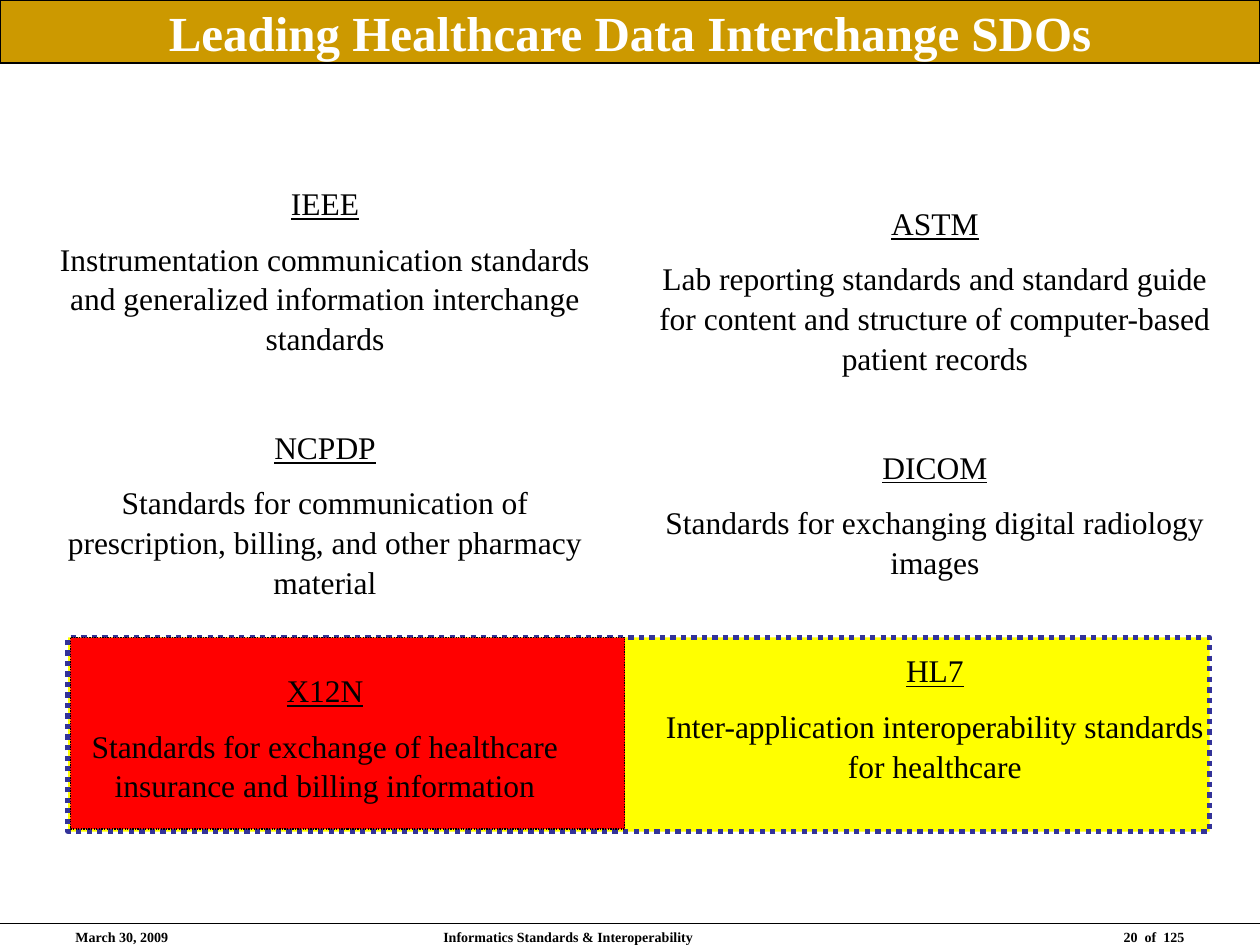
import pptx
import pptx.util
import pptx.dml.color
import pptx.enum.dml
import pptx.enum.shapes
import pptx.enum.text
import pptx.oxml

Inches, Pt = pptx.util.Inches, pptx.util.Pt
ALIGN = pptx.enum.text.PP_ALIGN
ANCHOR = pptx.enum.text.MSO_ANCHOR
DOTTED = pptx.enum.dml.MSO_LINE.ROUND_DOT

WIDTH, HEIGHT = 10, 7.5
COLORS = {"ink": "000000", "title": "FFFFFF", "banner": "CC9900",
          "band": "FFFF00", "band_edge": "333399", "x12n": "FF0000"}

# Text formats, as font attributes
TITLE = {"name": "Times New Roman", "size": Pt(28), "bold": True}
BODY = {"name": "Times New Roman", "size": Pt(18), "underline": False}
HEADING = {**BODY, "underline": True}
FOOTER = {"name": "Times New Roman", "size": Pt(8), "bold": True}

# Paragraph spacing of the columns
LINE_SPACING = 1.05
SPACE_BEFORE_BODY = Pt(9)
SPACE_BEFORE_GROUP = Pt(39.5)

# Column grid: equal columns set in from both slide edges
COLUMN_MARGIN, COLUMN_WIDTH = 0.25, 4.66
COLUMN_TOP, COLUMN_HEIGHT = HEIGHT * 0.1, 6.33

COLUMNS = [
    [("IEEE", "Instrumentation communication standards and generalized "
              "information interchange standards"),
     ("NCPDP", "Standards for communication of prescription, billing, "
               "and other pharmacy material"),
     ("X12N", "Standards for exchange of healthcare insurance and "
              "billing information")],
    [("ASTM", "Lab reporting standards and standard guide for content and "
              "structure of computer-based patient records"),
     ("DICOM", "Standards for exchanging digital radiology images"),
     ("HL7", "Inter-application interoperability standards for healthcare")],
]

# Footer: text, left, width, alignment
FOOTER_TOP, FOOTER_HEIGHT = 7.32, 0.17
FOOTERS = [
    ("March 30, 2009", 0.5, 2.33, ALIGN.LEFT),
    ("Informatics Standards & Interoperability", 3.42, 3.17, ALIGN.LEFT),
    ("20  of  125", 7.17, 2.33, ALIGN.RIGHT),
]


def rgb(color):
    return pptx.dml.color.RGBColor.from_string(COLORS[color])


def write(paragraph, text, text_format, align, color="ink"):
    paragraph.alignment = align
    run = paragraph.add_run()
    run.text = text
    for attribute, value in text_format.items():
        setattr(run.font, attribute, value)
    run.font.color.rgb = rgb(color)


def add_panel(slide, box, fill, edge="ink", weight=0.75, dash=None):
    panel = slide.shapes.add_shape(
        pptx.enum.shapes.MSO_SHAPE.RECTANGLE, *map(Inches, box))
    panel.shadow.inherit = False
    panel.fill.solid()
    panel.fill.fore_color.rgb = rgb(fill)
    panel.line.color.rgb = rgb(edge)
    panel.line.width = Pt(weight)
    if dash:
        panel.line.dash_style = dash
    return panel


def add_text_frame(slide, box, anchor):
    frame = slide.shapes.add_textbox(*map(Inches, box)).text_frame
    frame.word_wrap = True
    frame.vertical_anchor = anchor
    return frame


def add_column(slide, left, organizations):
    frame = add_text_frame(
        slide, (left, COLUMN_TOP, COLUMN_WIDTH, COLUMN_HEIGHT), ANCHOR.MIDDLE)
    for index, (name, scope) in enumerate(organizations):
        heading = frame.add_paragraph() if index else frame.paragraphs[0]
        if index:
            heading.space_before = SPACE_BEFORE_GROUP
        description = frame.add_paragraph()
        description.space_before = SPACE_BEFORE_BODY
        write(heading, name, HEADING, ALIGN.CENTER)
        write(description, scope, BODY, ALIGN.CENTER)
        for paragraph in (heading, description):
            paragraph.line_spacing = LINE_SPACING


def add_footer(slide):
    rule = slide.shapes.add_connector(
        pptx.enum.shapes.MSO_CONNECTOR.STRAIGHT,
        0, Inches(7.33), Inches(WIDTH), Inches(7.33))
    rule.line.color.rgb = rgb("ink")
    rule.line.width = Pt(0.75)
    rule._element.spPr.append(pptx.oxml.parse_xml(
        '<a:effectLst xmlns:a='
        '"http://schemas.openxmlformats.org/drawingml/2006/main"/>'))
    for text, left, width, align in FOOTERS:
        frame = add_text_frame(
            slide, (left, FOOTER_TOP, width, FOOTER_HEIGHT), ANCHOR.TOP)
        write(frame.paragraphs[0], text, FOOTER, align)


def main():
    deck = pptx.Presentation()
    deck.slide_width, deck.slide_height = Inches(WIDTH), Inches(HEIGHT)
    slide = deck.slides.add_slide(deck.slide_layouts[6])

    add_footer(slide)

    # Highlight behind the last row, with the X12N half in red
    add_panel(slide, (0.54, 5.06, 9.06, 1.54), "band", "band_edge", 3, DOTTED)
    add_panel(slide, (0.56, 5.06, 4.4, 1.52), "x12n", dash=DOTTED)

    # Title banner
    banner = add_panel(slide, (0, 0, WIDTH, HEIGHT / 15), "banner")
    banner.text_frame.vertical_anchor = ANCHOR.MIDDLE
    write(banner.text_frame.paragraphs[0],
          "Leading Healthcare Data Interchange SDOs",
          TITLE, ALIGN.CENTER, "title")

    # Two columns of standards organizations
    lefts = (COLUMN_MARGIN, WIDTH - COLUMN_MARGIN - COLUMN_WIDTH)
    for left, organizations in zip(lefts, COLUMNS):
        add_column(slide, left, organizations)

    deck.save("out.pptx")


if __name__ == "__main__":
    main()
